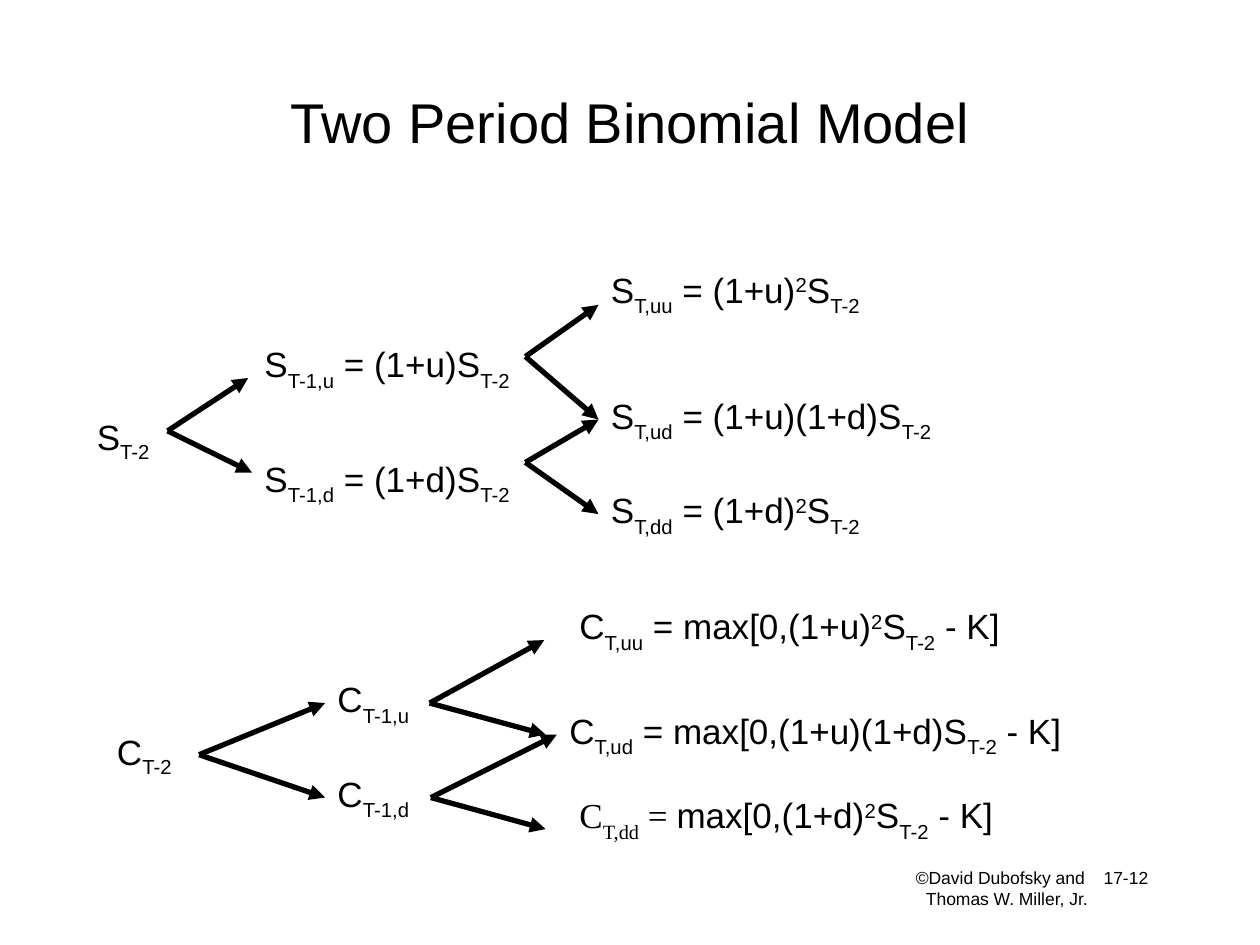
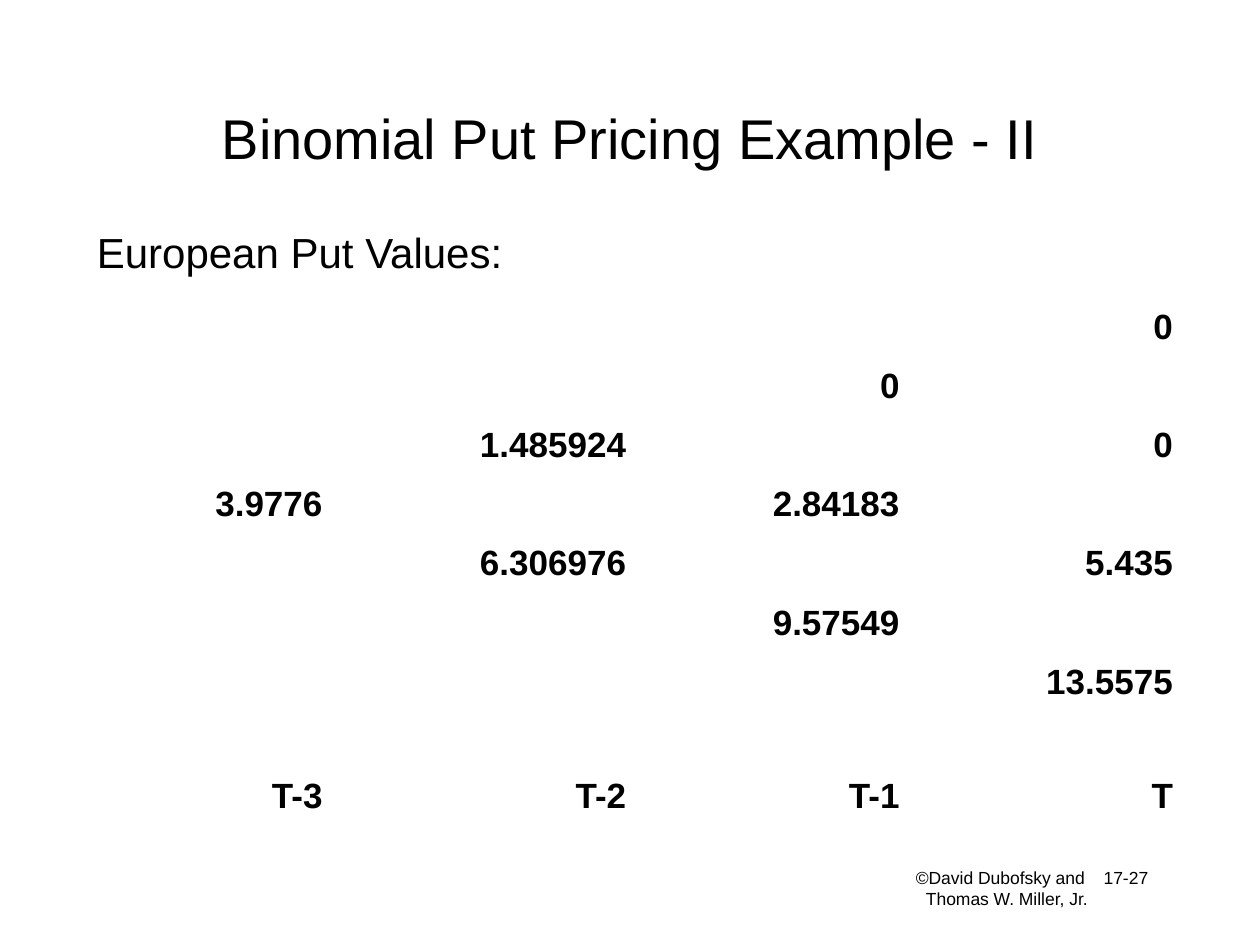
from dataclasses import dataclass

from lxml import etree
from pptx import Presentation
from pptx.dml.color import RGBColor
from pptx.enum import shapes, text
from pptx.oxml import ns
from pptx.util import Inches, Pt

INK = "000000"
FONT = "Arial"
SHIFTS = {"_": -30000, "~": -25000, "^": 30000}
NEAR = Inches(0.02)


@dataclass
class Label:
    x: float
    y: float
    wide: float
    text: str
    serif: str = ""
    high: float = 0.5


@dataclass
class Fork:
    x: float
    y: float
    tips: tuple


LABELS = [
    Label(0.67, 3.25, 0.67, "S|~T-2", high=0.48),
    Label(2, 2.67, 2.33, "S|_T-1,u| = (1+u)S|_T-2"),
    Label(2, 3.58, 2.33, "S|_T-1,d| = (1+d)S|_T-2"),
    Label(4.75, 2.08, 2.5, "S|_T,uu| = (1+u)|^2|S|_T-2"),
    Label(4.75, 3.08, 3.08, "S|_T,ud| = (1+u)(1+d)S|_T-2"),
    Label(4.75, 3.83, 2.42, "S|_T,dd| = (1+d)|^2|S|_T-2"),
    Label(0.83, 5.75, 0.75, "C|~T-2", high=0.48),
    Label(2.58, 5.33, 0.83, "C|_T-1,u"),
    Label(2.58, 6.08, 1.08, "C|_T-1,d"),
    Label(4.5, 4.75, 3.67, "C|_T,uu| = max[0,(1+u)|^2|S|_T-2| - K]"),
    Label(4.42, 5.58, 4.25, "C|_T,ud| = max[0,(1+u)(1+d)S|_T-2| - K]"),
    Label(4.5, 6.25, 3.75, "max[0,(1+d)|^2|S|_T-2| - K]", serif="C|_T,dd| = "),
]
FORKS = [
    Fork(1.33, 3.42, ((1.97, 3), (2, 3.75))),
    Fork(4.17, 2.83, ((4.75, 2.42), (4.75, 3.33))),
    Fork(4.17, 3.67, ((4.75, 3.33), (4.75, 4.08))),
    Fork(1.58, 6, ((2.58, 5.58), (2.58, 6.33))),
    Fork(3.42, 5.58, ((4.32, 5.08), (4.33, 5.83))),
    Fork(3.42, 6.33, ((4.42, 5.83), (4.33, 6.58))),
]
PUTS = [
    ("T-3", ["3.9776"]),
    ("T-2", ["1.485924", "6.306976"]),
    ("T-1", ["0", "2.84183", "9.57549"]),
    ("T", ["0", "0", "5.435", "13.5575"]),
]
WIDTHS = [2.08, 2.41, 2.17, 2.17]
HEIGHTS = [0.47] * 7 + [0.44, 0.47]


def color(code: str) -> RGBColor:
    return RGBColor.from_string(code)


def write(para, words: str, size=20, font=FONT, bold=False, align=None) -> None:
    para.alignment = align
    for part in words.split("|"):
        shift = SHIFTS.get(part[0])
        run = para.add_run()
        run.text = part[1:] if shift else part
        run.font.size = Pt(size)
        run.font.name = font
        run.font.bold = bold
        run.font.color.rgb = color(INK)
        if shift:
            run.font._element.set("baseline", str(shift))


def add_box(slide, x: float, y: float, wide: float, high: float, anchor=text.MSO_ANCHOR.TOP):
    box = slide.shapes.add_textbox(Inches(x), Inches(y), Inches(wide), Inches(high))
    box.text_frame.word_wrap = True
    box.text_frame.vertical_anchor = anchor
    return box


def add_page(deck, title: str, high: float, page: str):
    slide = deck.slides.add_slide(deck.slide_layouts[6])
    foot = add_box(slide, 7.17, 6.83, 2.08, 0.5).text_frame
    line = foot.paragraphs[0]
    tabs = etree.SubElement(line._p.get_or_add_pPr(), ns.qn("a:tabLst"))
    etree.SubElement(tabs, ns.qn("a:tab"), pos=str(Inches(1.49)), algn="l")
    write(line, f"©David Dubofsky and\t{page}", size=10)
    line = foot.add_paragraph()
    line._p.get_or_add_pPr().set("marL", str(Inches(0.08)))
    write(line, "Thomas W. Miller, Jr.", size=10)
    head = add_box(slide, 0.75, 0.42, 8.5, high, text.MSO_ANCHOR.MIDDLE)
    write(head.text_frame.paragraphs[0], title, size=32, align=text.PP_ALIGN.CENTER)
    return slide


def add_label(slide, label: Label):
    box = add_box(slide, label.x, label.y, label.wide, label.high)
    para = box.text_frame.paragraphs[0]
    if label.serif:
        write(para, label.serif, font="Times New Roman")
    write(para, label.text)
    return box


def meets(box, side: int, x: int, y: int) -> bool:
    edge = box.left if side == 1 else box.left + box.width
    return abs(edge - x) < NEAR and abs(box.top + box.height // 2 - y) < NEAR


def add_fork(slide, fork: Fork, boxes: list) -> None:
    start = Inches(fork.x), Inches(fork.y)
    for tip in fork.tips:
        end = Inches(tip[0]), Inches(tip[1])
        arrow = slide.shapes.add_connector(shapes.MSO_CONNECTOR.STRAIGHT, *start, *end)
        arrow.line.color.rgb = color(INK)
        arrow.line.width = Pt(3)
        etree.SubElement(arrow.line._get_or_add_ln(), ns.qn("a:tailEnd"), type="triangle")
        etree.SubElement(arrow._element.spPr, ns.qn("a:effectLst"))
        for box in boxes:
            if meets(box, 3, *start):
                arrow.begin_connect(box, 3)
            if meets(box, 1, *end):
                arrow.end_connect(box, 1)


def add_puts(slide) -> None:
    frame = slide.shapes.add_table(
        len(HEIGHTS), len(WIDTHS), Inches(0.58), Inches(2.33),
        Inches(sum(WIDTHS)), Inches(sum(HEIGHTS)))
    grid = frame.table
    grid.first_row = grid.horz_banding = False
    for col, wide in zip(grid.columns, WIDTHS):
        col.width = Inches(wide)
    for row, high in zip(grid.rows, HEIGHTS):
        row.height = Inches(high)
    for cell in grid.iter_cells():
        cell.fill.background()
        cell.vertical_anchor = text.MSO_ANCHOR.BOTTOM
    last = len(HEIGHTS) - 1
    for col, (time, values) in enumerate(PUTS):
        spots = [(3 - col + 2 * step, value) for step, value in enumerate(values)]
        for row, value in spots + [(last, time)]:
            para = grid.cell(row, col).text_frame.paragraphs[0]
            write(para, value, bold=True, align=text.PP_ALIGN.RIGHT)


def main() -> None:
    deck = Presentation()
    deck.slide_width, deck.slide_height = Inches(10), Inches(7.5)
    model = add_page(deck, "Two Period Binomial Model", 1.08, "17-12")
    boxes = [add_label(model, label) for label in LABELS]
    for fork in FORKS:
        add_fork(model, fork, boxes)
    prices = add_page(deck, "Binomial Put Pricing Example - II", 1.33, "17-27")
    add_puts(prices)
    intro = add_box(prices, 0.67, 1.75, 4.08, 0.5)
    write(intro.text_frame.paragraphs[0], "European Put Values:", size=24)
    deck.save("out.pptx")


if __name__ == "__main__":
    main()
